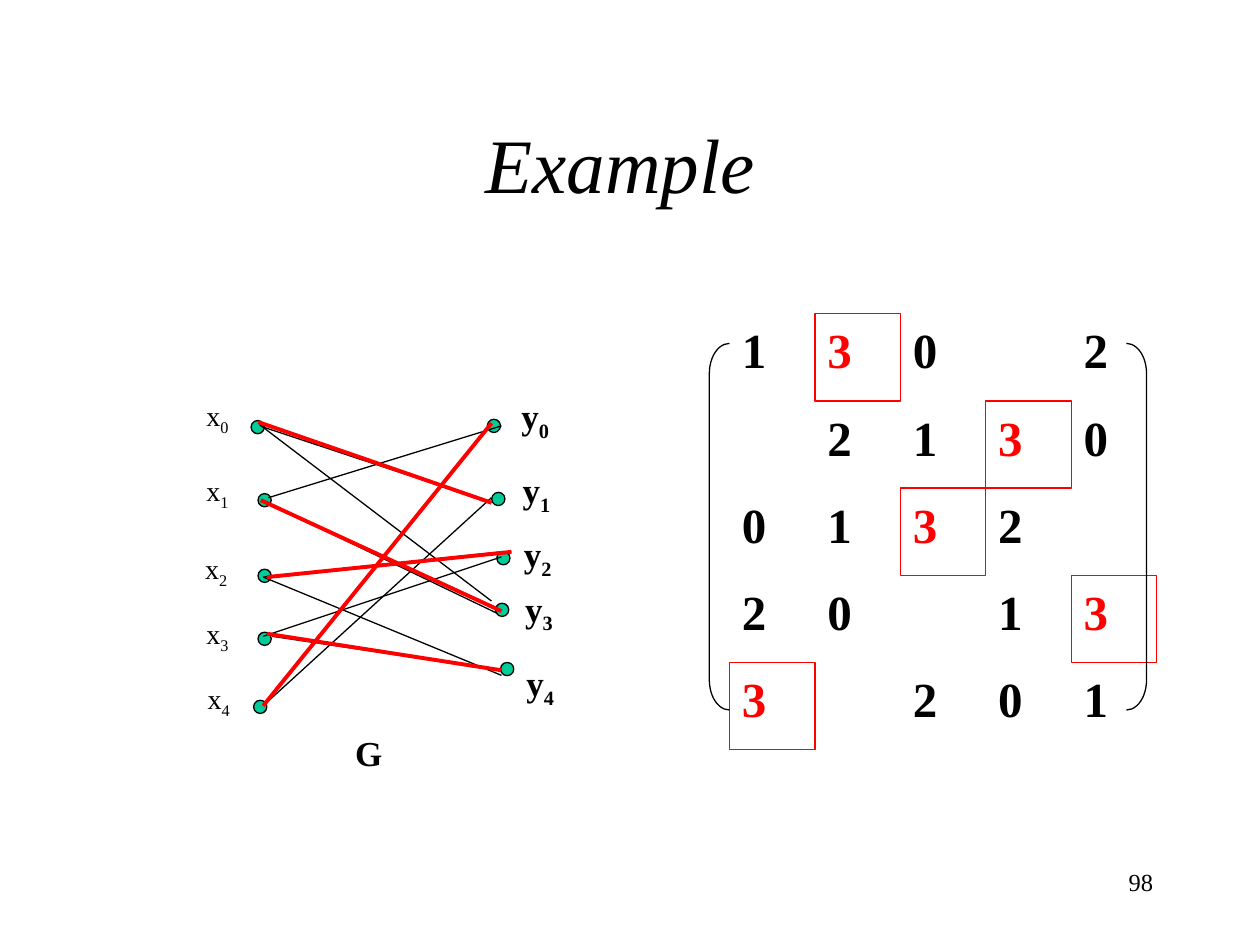
import pptx
import pptx.util
import pptx.dml.color
import pptx.enum.shapes
import pptx.enum.text
import pptx.oxml

Pt = pptx.util.Pt
Shape = pptx.enum.shapes.MSO_SHAPE
Align = pptx.enum.text.PP_ALIGN
Anchor = pptx.enum.text.MSO_ANCHOR

BLACK = pptx.dml.color.RGBColor(0x00, 0x00, 0x00)
RED = pptx.dml.color.RGBColor(0xFF, 0x00, 0x00)
GREEN = pptx.dml.color.RGBColor(0x00, 0xCC, 0x99)
FONT = "Times New Roman"

COLUMNS, ROWS = 100, 75
UNIT = pptx.util.Inches(10) / COLUMNS

MATRIX = ["130 2", " 2130", "0132 ", "20 13", "3 201"]
MATCHED = "3"

# Graph positions are columns and rows from the graph's own corner.
X_NODES = [(5.45, 3.9), (6, 9.7), (6, 15.7), (6, 20.7), (5.65, 26.1)]
Y_NODES = [(24.2, 3.8), (24.55, 9.6), (24.95, 14.3), (24.85, 18.4), (25.25, 23.1)]
X_LABELS = [(0.4, 1.1), (0.4, 7.1), (0.3, 13.3), (0.4, 18.4), (0.5, 23.6)]
Y_LABELS = [(25.4, 0.8), (25.5, 6.7), (25.6, 11.8), (25.7, 16.1), (25.8, 22)]
EDGES = [
    (5.6, 3.7, 24, 17.7), (6.3, 9.5, 24.8, 3.8), (6.4, 10, 24.5, 18.7),
    (5.9, 3.9, 24, 9.9), (5.9, 15.8, 24.8, 13.8), (5.9, 15.8, 24.8, 23.6),
    (5.9, 20.5, 24.8, 14.2), (6.6, 20.5, 24.8, 23.2), (5.9, 26, 24, 9.5),
    (5.9, 26, 24, 3.6),
]
MATCHING = [
    (5.5, 3.5, 24, 9.9), (5.7, 9.7, 24.8, 18.5), (6.2, 15.8, 25.6, 13.8),
    (6.2, 20.3, 24.8, 23.2), (5.9, 26, 24, 3.6),
]


def grid(*lengths):
    return [pptx.util.Emu(round(length * UNIT)) for length in lengths]


def write(frame, text, size, color=BLACK, bold=False, subscript="",
          space=0, align=Align.LEFT):
    frame.word_wrap = True
    frame.vertical_anchor = Anchor.TOP
    paragraph = frame.paragraphs[0]
    paragraph.alignment = align
    paragraph.space_before = Pt(space)
    for part in filter(None, (text, subscript)):
        run = paragraph.add_run()
        run.text = part
        run.font.name = FONT
        run.font.size = Pt(size)
        run.font.bold = bold
        run.font.color.rgb = color
    if subscript:
        run.font._element.set("baseline", "-25000")


def outlined(shapes, preset, box, line, fill=None):
    shape = shapes.add_shape(preset, *grid(*box))
    shape.shadow.inherit = False
    shape.line.color.rgb = line
    shape.line.width = Pt(0.75)
    if fill is None:
        shape.fill.background()
    else:
        shape.fill.solid()
        shape.fill.fore_color.rgb = fill
    return shape


def add_edge(shapes, left, top, ends, color, width):
    x1, y1, x2, y2 = ends
    edge = shapes.add_connector(
        pptx.enum.shapes.MSO_CONNECTOR.STRAIGHT,
        *grid(left + x1, top + y1, left + x2, top + y2))
    edge.line.color.rgb = color
    edge.line.width = Pt(width)
    edge._element.spPr.append(pptx.oxml.parse_xml(
        '<a:effectLst xmlns:a="http://schemas.openxmlformats.org/drawingml/2006/main"/>'))


def add_heading(slide, left, top, width, height):
    title = slide.shapes.title
    title.left, title.top, title.width, title.height = grid(left, top, width, height)
    write(title.text_frame, "Example ", 44, align=Align.CENTER)
    title.text_frame.vertical_anchor = Anchor.MIDDLE
    title.text_frame.paragraphs[0].runs[0].font.italic = True


def add_matrix(slide, left, top, width, height):
    """Weights in a square grid, with the matched ones boxed, between brackets."""
    shapes = slide.shapes.add_group_shape().shapes
    cell_width, cell_height = width / len(MATRIX[0]), height / len(MATRIX)
    for row, weights in enumerate(MATRIX):
        for column, weight in enumerate(weights):
            if weight == " ":
                continue
            box = (left + column * cell_width, top + row * cell_height,
                   cell_width, cell_height)
            if weight == MATCHED:
                cell, color = outlined(shapes, Shape.RECTANGLE, box, RED), RED
            else:
                cell, color = shapes.add_textbox(*grid(*box)), BLACK
            write(cell.text_frame, weight, 28, color, bold=True, space=7)

    depth, inset = 1.6, 2.35
    for preset, edge in ((Shape.LEFT_BRACKET, left - depth),
                         (Shape.RIGHT_BRACKET, left + width - 2.4)):
        bracket = outlined(
            shapes, preset, (edge, top + inset, depth, 29.1), BLACK)
        bracket.adjustments[0] = 1.5


def add_graph(slide, left, top):
    """Bipartite graph with its perfect matching drawn over the other edges."""
    shapes = slide.shapes
    node_size = 1.05
    for x, y in X_NODES + Y_NODES:
        outlined(shapes, Shape.OVAL,
                 (left + x - node_size / 2, top + y - node_size / 2,
                  node_size, node_size), BLACK, GREEN)

    for letter, places, height, size, bold, space in (
            ("x", X_LABELS, 4.1, 16, False, 10),
            ("y", Y_LABELS, 4.8, 20, True, 12.5)):
        for index, (x, y) in enumerate(places):
            label = shapes.add_textbox(*grid(left + x, top + y, 5.3, height))
            write(label.text_frame, letter, size, bold=bold,
                  subscript=str(index), space=space)
    caption = shapes.add_textbox(*grid(left + 12.2, top + 27.6, 9.4, 4.4))
    write(caption.text_frame, "G", 20, bold=True, space=12.5)

    for ends in EDGES:
        add_edge(shapes, left, top, ends, BLACK, 0.75)
    for ends in MATCHING:
        add_edge(shapes, left, top, ends, RED, 2.25)


def add_page_number(slide, left, top, width, height):
    number = slide.shapes.add_textbox(*grid(left, top, width, height))
    write(number.text_frame, "98", 14, align=Align.RIGHT)


def main():
    deck = pptx.Presentation()
    deck.slide_width, deck.slide_height = grid(COLUMNS, ROWS)
    slide = deck.slides.add_slide(deck.slide_layouts.get_by_name("Title Only"))
    add_page_number(slide, 71.7, 68.3, 20.8, 5)
    add_heading(slide, 7.5, 6.7, 85, 12.5)
    add_matrix(slide, 57.9, 24.9, 33.9, 34.6)
    add_graph(slide, 15, 30)
    deck.save("out.pptx")


if __name__ == "__main__":
    main()
